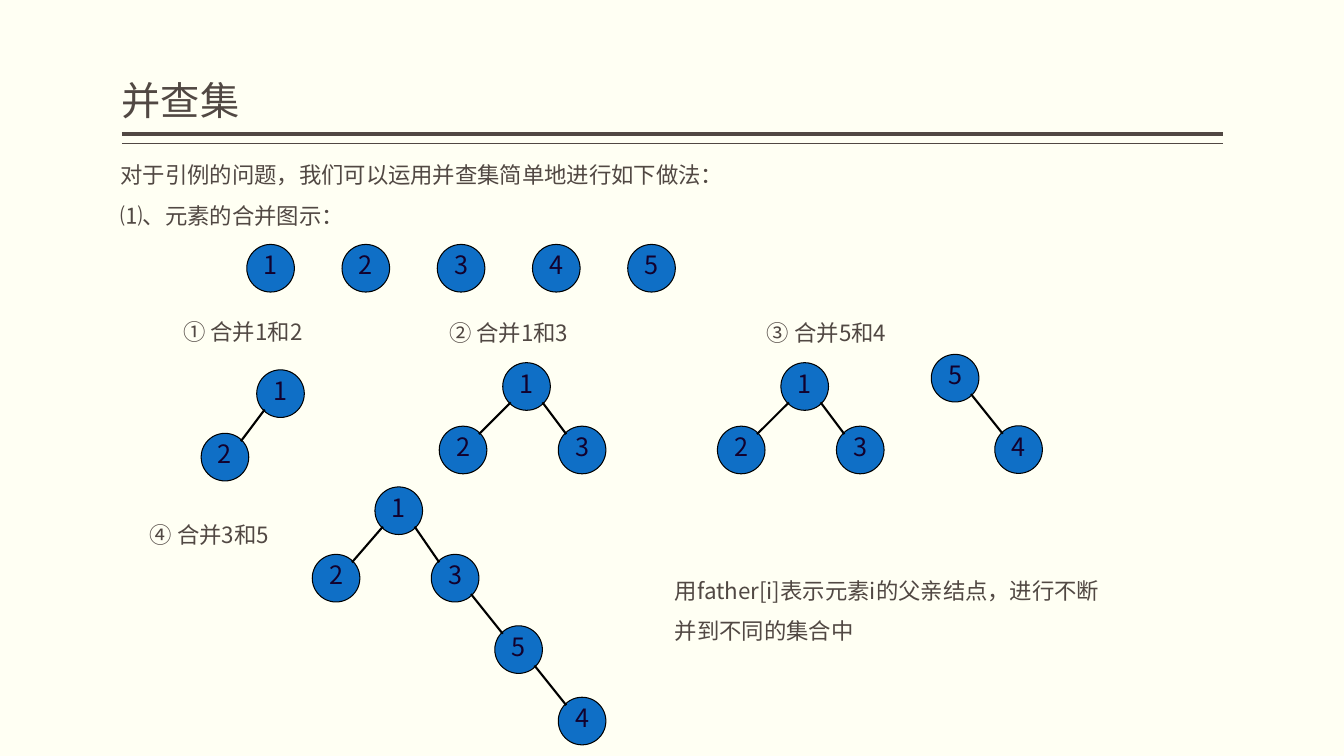
"""Build the union-find slide that shows how elements are merged into trees."""
import pptx
import pptx.util
import pptx.dml.color
import pptx.enum.shapes
import pptx.enum.text
import pptx.oxml
import pptx.oxml.ns
import lxml.etree

Cm = pptx.util.Cm
Pt = pptx.util.Pt
ANCHOR = pptx.enum.text.MSO_ANCHOR
ALIGN = pptx.enum.text.PP_ALIGN
AUTO_SIZE = pptx.enum.text.MSO_AUTO_SIZE


def color(code):
    return pptx.dml.color.RGBColor.from_string(code)


def apply(target, values):
    for name, value in values.items():
        setattr(target, name, value)


class MergeSlide:
    FONT = "Noto Sans CJK SC"
    INK, PAPER, NODE, DIGIT, EDGE = "514843", "FFFFF3", "0F6FC6", "12012D", "000000"
    DIAMETER = 1.2
    NEAR, FAR = 0.2, 1.0

    def __init__(self, deck):
        self.slide = deck.slides.add_slide(deck.slide_layouts[6])
        background = self.slide.background.fill
        background.solid()
        background.fore_color.rgb = color(self.PAPER)

    def fill_frame(self, frame, lines, size, ink, frame_format, paragraph_format):
        apply(frame, frame_format)
        frame.text = "\n".join(lines)
        for paragraph in frame.paragraphs:
            apply(paragraph, paragraph_format)
            for run in paragraph.runs:
                apply(run.font, {"size": Pt(size), "name": self.FONT})
                run.font.color.rgb = color(ink)
                properties = run.font._element
                properties.set("lang", "zh-CN")
                east_asian = lxml.etree.SubElement(properties, pptx.oxml.ns.qn("a:ea"))
                east_asian.set("typeface", self.FONT)

    def text(self, place, lines, size=16, spacing=1.0, **frame_format):
        box = self.slide.shapes.add_textbox(*map(Cm, place))
        frame_format = {"word_wrap": True, "auto_size": AUTO_SIZE.SHAPE_TO_FIT_TEXT, **frame_format}
        self.fill_frame(box.text_frame, lines, size, self.INK, frame_format, {"line_spacing": spacing})

    def line(self, start, end, ink, width):
        straight = pptx.enum.shapes.MSO_CONNECTOR.STRAIGHT
        stroke = self.slide.shapes.add_connector(straight, *map(Cm, (*start, *end)))
        stroke.line.color.rgb = color(ink)
        stroke.line.width = Pt(width)
        lxml.etree.SubElement(stroke._element.spPr, pptx.oxml.ns.qn("a:effectLst"))

    def node(self, label, left, top):
        circle = self.slide.shapes.add_shape(
            pptx.enum.shapes.MSO_SHAPE.OVAL, Cm(left), Cm(top), Cm(self.DIAMETER), Cm(self.DIAMETER))
        circle.shadow.inherit = False
        circle.fill.solid()
        circle.fill.fore_color.rgb = color(self.NODE)
        circle.line.color.rgb = color(self.EDGE)
        circle.line.width = Pt(0.75)
        frame_format = {"margin_left": 0, "margin_right": 0, "margin_top": 0, "margin_bottom": Cm(0.18),
                        "vertical_anchor": ANCHOR.MIDDLE, "word_wrap": False}
        self.fill_frame(circle.text_frame, [label], 18, self.DIGIT, frame_format, {"alignment": ALIGN.CENTER})

    def tree(self, nodes, edges):
        for label, (left, top) in nodes.items():
            self.node(label, left, top)
        for parent, child in edges:
            (px, py), (cx, cy) = nodes[parent], nodes[child]
            leave, arrive = (self.NEAR, self.FAR) if cx < px else (self.FAR, self.NEAR)
            self.line((px + leave, py + self.FAR), (cx + arrive, cy + self.NEAR), self.EDGE, 1.5)


def main():
    deck = pptx.Presentation()
    apply(deck, {"slide_width": Cm(33.87), "slide_height": Cm(19.05)})
    page = MergeSlide(deck)

    for height, width in ((3.37, 3), (3.62, 1)):
        page.line((3.07, height), (30.81, height), page.INK, width)
    page.text((3.07, 0.2, 27.74, 3.05), ["并查集"], 28, 0.9, margin_left=0, margin_right=0,
              vertical_anchor=ANCHOR.BOTTOM, auto_size=AUTO_SIZE.NONE)
    page.text((2.79, 3.61, 23.62, 2.18),
              ["对于引例的问题，我们可以运用并查集简单地进行如下做法：", "⑴、元素的合并图示："], spacing=1.5)

    page.tree({str(i + 1): (6.22 + 2.4 * i, 6.16) for i in range(5)}, [])

    steps = (("① 合并1和2", 4.37, 7.9), ("② 合并1和3", 11.07, 7.92),
             ("③ 合并5和4", 19.08, 7.92), ("④ 合并3和5", 3.53, 13.0))
    for caption, left, top in steps:
        page.text((left, top, 5.3, 0.94), [caption])

    page.tree({"1": (6.47, 9.32), "2": (5.07, 10.92)}, ["12"])
    for left in (11.07, 18.08):
        page.tree({"1": (left + 1.6, 9.14), "2": (left, 10.74), "3": (left + 3, 10.74)}, ["12", "13"])
    page.tree({"5": (23.47, 8.93), "4": (25.07, 10.73)}, ["54"])
    page.tree({"1": (9.45, 12.27), "2": (7.87, 13.97), "3": (10.87, 13.97),
               "5": (12.47, 15.77), "4": (14.07, 17.57)}, ["12", "13", "35", "54"])

    page.text((16.76, 14.07, 11.76, 2.18),
              ["用father[i]表示元素i的父亲结点，进行不断并到不同的集合中"], spacing=1.5)
    deck.save("out.pptx")


if __name__ == "__main__":
    main()
